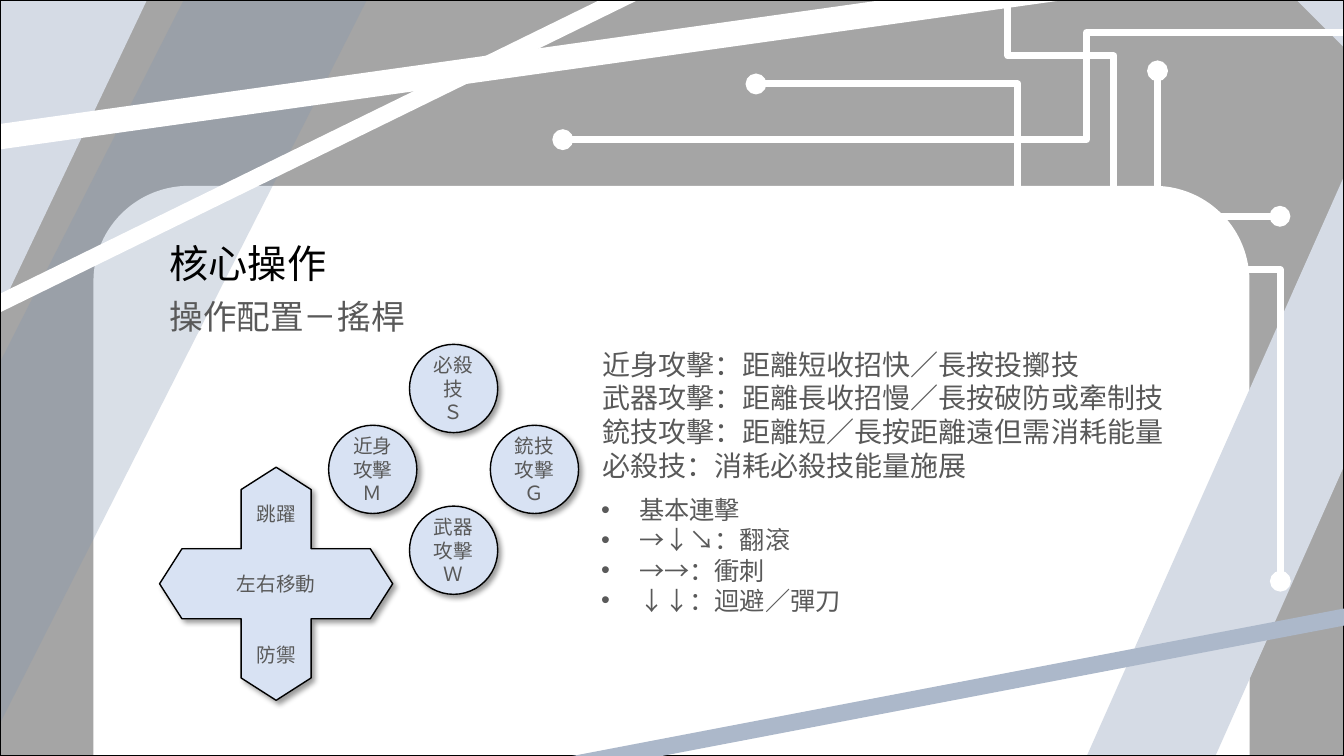
from lxml import etree
from pptx import Presentation, util as u
from pptx.dml.color import RGBColor
from pptx.enum import shapes, text
from pptx.oxml import ns

PX = 9525
WIDTH, HEIGHT = 1280, 720
WHITE = RGBColor(0xFF, 0xFF, 0xFF)
BLACK = RGBColor(0x00, 0x00, 0x00)
MIST = RGBColor(0xD5, 0xDB, 0xE5)
GREY = RGBColor(0xA5, 0xA5, 0xA5)
STEEL = RGBColor(0x82, 0x96, 0xB0)
BAND = RGBColor(0xAC, 0xB8, 0xCA)
BUTTON = RGBColor(0xD8, 0xE2, 0xF3)
INK = RGBColor(0x59, 0x59, 0x59)
LATIN, CJK = "Calibri", "Noto Sans CJK TC"
KIND = shapes.MSO_SHAPE
LEFT, CENTER = text.PP_ALIGN.LEFT, text.PP_ALIGN.CENTER


def px(*values):
    return [u.Emu(value * PX) for value in values]


def child(parent, tag, **attributes):
    return etree.SubElement(parent, ns.qn(tag), attributes)


def add_figure(page, kind, box, fill=None, line=None, adjust=(), rotation=0):
    figure = page.shapes.add_shape(kind, *px(*box))
    figure.shadow.inherit = False
    for index, value in enumerate(adjust):
        figure.adjustments[index] = value
    figure.rotation = rotation
    if fill is None:
        figure.fill.background()
    else:
        figure.fill.solid()
        figure.fill.fore_color.rgb = fill
    if line is None:
        figure.line.fill.background()
    else:
        figure.line.color.rgb = line
        figure.line.width = u.Pt(1)
    return figure


def add_line(page, kind, start, end, color, width):
    line = page.shapes.add_connector(kind, *px(*start, *end))
    line.line.color.rgb = color
    line.line.width = u.Pt(width)
    child(line.element.spPr, "a:effectLst")
    return line


def add_circuit(page, box, bend, flip=True, turn=0):
    """White elbow line with round ends, given by its box before it is turned."""
    left, top, width, height = box
    right = left + width
    start, end = (right, left) if flip else (left, right)
    line = add_line(page, shapes.MSO_CONNECTOR.ELBOW, (start, top), (end, top + height), WHITE, 5)
    properties = line.element.spPr
    if turn:
        properties.find(ns.qn("a:xfrm")).set("rot", str(turn * 60000))
    guides = properties.find(ns.qn("a:prstGeom")).find(ns.qn("a:avLst"))
    child(guides, "a:gd", name="adj1", fmla=f"val {round(bend * 100000)}")
    outline = properties.find(ns.qn("a:ln"))
    child(outline, "a:headEnd", type="oval")
    child(outline, "a:tailEnd", type="oval")


def write(frame, lines, size, font=CJK, color=INK, align=LEFT, gap=0, bullet=False):
    frame.word_wrap = True
    frame.auto_size = text.MSO_AUTO_SIZE.NONE
    for index, words in enumerate(lines):
        para = frame.add_paragraph() if index else frame.paragraphs[0]
        properties = para._p.get_or_add_pPr()
        indent = 36 * PX if bullet else 0
        properties.set("marL", str(indent))
        properties.set("indent", str(-indent))
        if bullet:
            child(child(properties, "a:buClr"), "a:srgbClr", val=str(color))
            child(properties, "a:buFont", typeface="Arial")
            child(properties, "a:buChar", char="•")
        else:
            child(properties, "a:buNone")
        para.alignment = align
        para.line_spacing = u.Pt(size * 1.2)
        para.space_before = u.Pt(gap if index else 0)
        span = para.add_run()
        span.text = words
        span.font.size = u.Pt(size)
        span.font.color.rgb = color
        span.font.name = font
        child(span.font._element, "a:ea", typeface=font)


def fill_placeholder(holder, box, lines, size, **style):
    """Place a placeholder on top of the backdrop and write its lines."""
    holder.left, holder.top, holder.width, holder.height = px(*box)
    holder.element.getparent().append(holder.element)
    holder.text_frame.vertical_anchor = text.MSO_ANCHOR.TOP
    write(holder.text_frame, lines, size, **style)


def draw_backdrop(page):
    straight = shapes.MSO_CONNECTOR.STRAIGHT
    add_figure(page, KIND.RECTANGLE, (0, 0, WIDTH, HEIGHT), MIST)
    add_figure(page, KIND.SNIP_2_SAME_RECTANGLE, (-218, -156, 1735, 877), GREY, adjust=(0.5, 0))
    add_figure(page, KIND.ROUND_2_SAME_RECTANGLE, (89, 177, 1101, 543), WHITE, adjust=(0.167, 0))
    add_figure(page, KIND.DIAGONAL_STRIPE, (1035, 168, 245, 552), MIST, adjust=(0.5,), rotation=180)
    add_circuit(page, (855, 60, 311, 101), 0.316, turn=270)
    add_circuit(page, (720, 80, 499, 126), 0.5, flip=False)
    add_circuit(page, (536, 31, 758, 102), 0.342)
    add_circuit(page, (918, 252, 486, 117), 0.61, turn=90)
    add_figure(page, KIND.DIAGONAL_STRIPE, (0, 0, 140, 295), MIST, adjust=(0,))
    veil = add_figure(page, KIND.DIAGONAL_STRIPE, (0, 1, 349, 688), STEEL, adjust=(0.5,))
    tint = veil.element.spPr.find(ns.qn("a:solidFill")).find(ns.qn("a:srgbClr"))
    child(tint, "a:alpha", val="30000")
    add_line(page, straight, (622, -16), (-13, 295), WHITE, 12)
    add_line(page, straight, (1041, -16), (-13, 132), WHITE, 18)
    add_figure(page, KIND.RECTANGLE, (0, 0, WIDTH, HEIGHT), line=BLACK)
    add_line(page, straight, (1294, 585), (504, 736), BAND, 12)


def add_control(page, kind, box, lines, gap=0, adjust=()):
    control = add_figure(page, kind, box, BUTTON, BLACK, adjust)
    effects = control.element.spPr.find(ns.qn("a:effectLst"))
    shadow = child(effects, "a:outerShdw", blurRad=str(u.Pt(4)), dist=str(u.Pt(3)),
                   dir="2700000", algn="tl", rotWithShape="0")
    child(child(shadow, "a:srgbClr", val=str(BLACK)), "a:alpha", val="40000")
    control.text_frame.vertical_anchor = text.MSO_ANCHOR.MIDDLE
    write(control.text_frame, lines, 14, align=CENTER, gap=gap)


def draw_buttons(page, box):
    """Four round buttons, one at the middle of each side of the box."""
    left, top, width, height = box
    size = 84
    across, down = (width - size) // 2, (height - size) // 2
    buttons = [(1, 0, "必殺技", "Ｓ"), (0, 1, "近身攻擊", "Ｍ"),
               (2, 1, "銃技攻擊", "Ｇ"), (1, 2, "武器攻擊", "Ｗ")]
    for column, row, action, key in buttons:
        place = (left + column * across, top + row * down, size, size)
        add_control(page, KIND.OVAL, place, (action, key))


def draw_stick(page, box):
    add_control(page, KIND.QUAD_ARROW, box, ("跳躍", "左右移動", "防禦"),
                gap=33.5, adjust=(0.375, 0.15, 0.096))


def draw_texts(page):
    title, moves, combos = page.placeholders
    fill_placeholder(title, (152, 223, 529, 55), ["核心操作"], 28, font=LATIN, color=BLACK)
    subtitle = page.shapes.add_textbox(*px(152, 277, 461, 48))
    write(subtitle.text_frame, ["操作配置－搖桿"], 24, font=LATIN)
    fill_placeholder(moves, (564, 326, 588, 139), [
        "近身攻擊：距離短收招快／長按投擲技",
        "武器攻擊：距離長收招慢／長按破防或牽制技",
        "銃技攻擊：距離短／長按距離遠但需消耗能量",
        "必殺技：消耗必殺技能量施展"], 20)
    fill_placeholder(combos, (563, 466, 540, 126), [
        "基本連擊", "→↓↘：翻滾", "→→：衝刺", "↓↓：迴避／彈刀"], 18, bullet=True)


def main():
    deck = Presentation()
    deck.slide_width, deck.slide_height = px(WIDTH, HEIGHT)
    page = deck.slides.add_slide(deck.slide_layouts.get_by_name("Two Content"))
    draw_backdrop(page)
    draw_texts(page)
    draw_buttons(page, (313, 328, 238, 238))
    draw_stick(page, (152, 445, 222, 222))
    deck.save("out.pptx")


if __name__ == "__main__":
    main()
